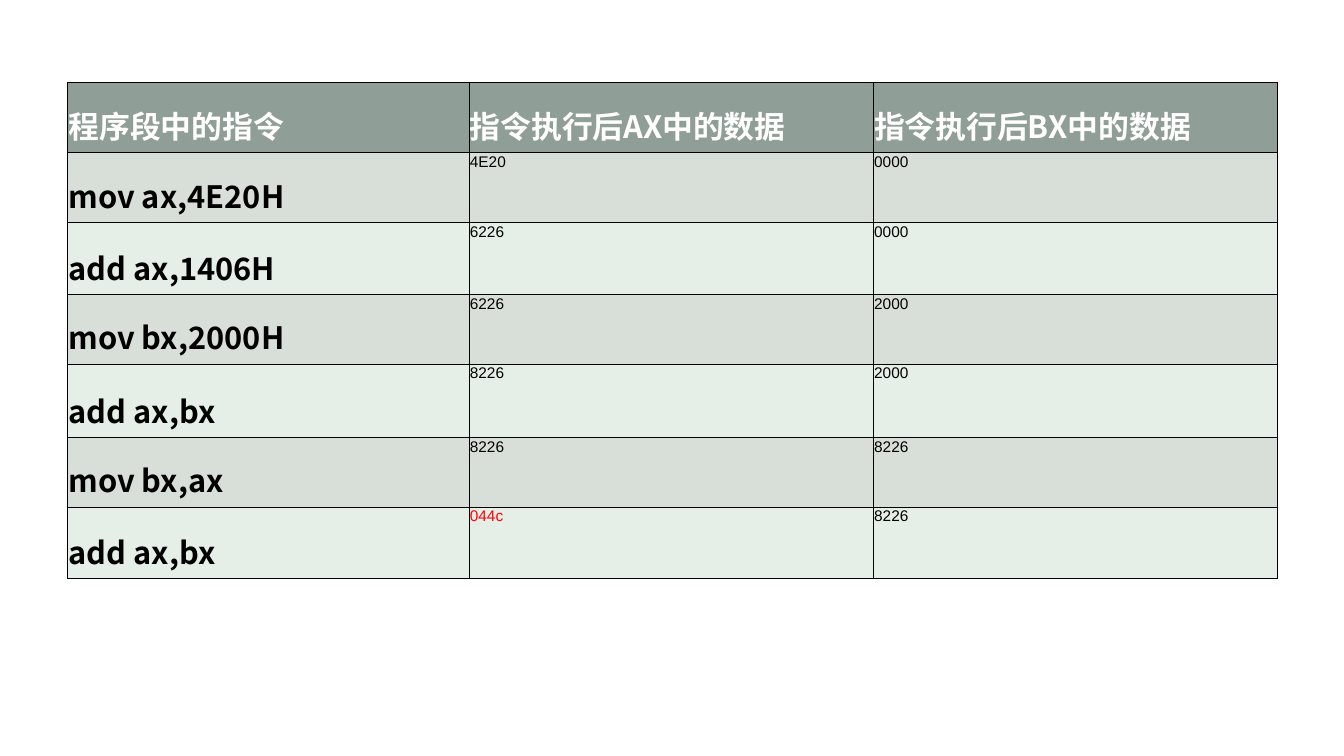
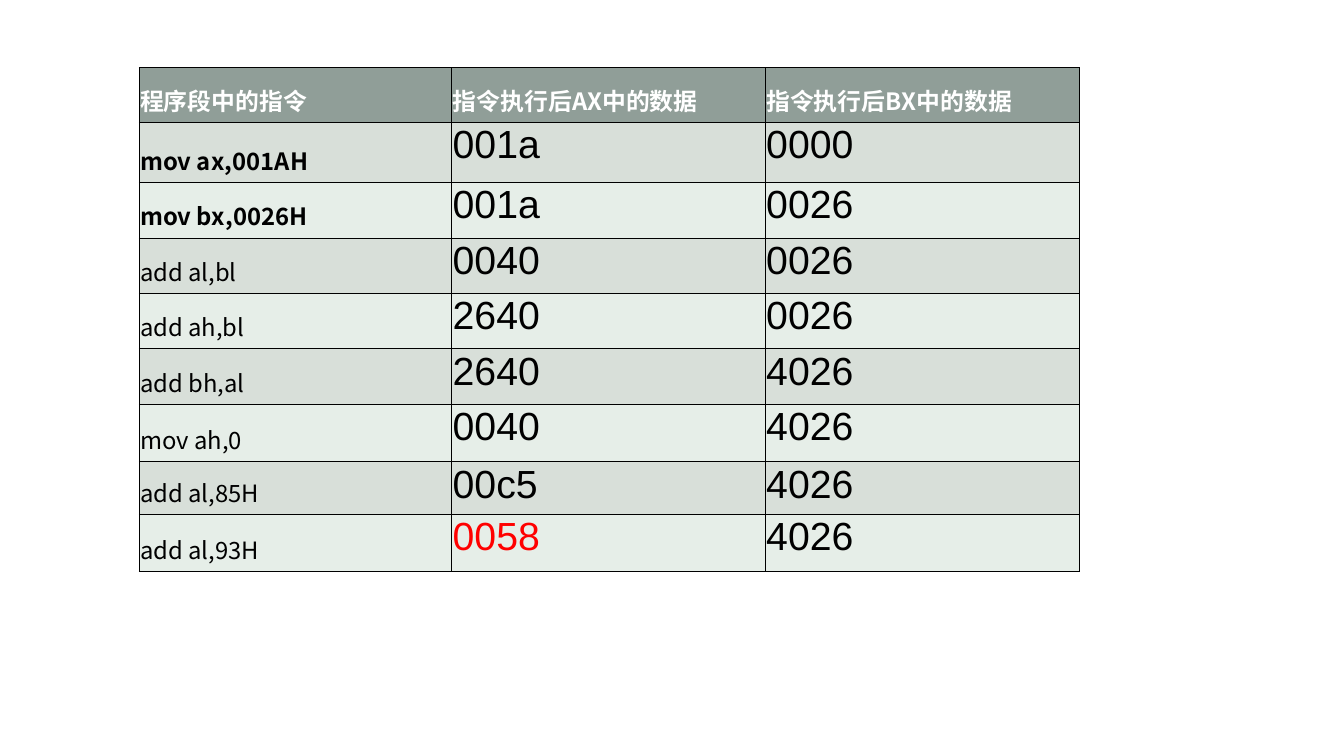
from lxml.etree import SubElement
from pptx import Presentation
from pptx.dml.color import RGBColor
from pptx.enum.text import MSO_ANCHOR
from pptx.oxml.ns import qn
from pptx.util import Inches, Pt

WHITE = RGBColor(0xFF, 0xFF, 0xFF)
BLACK = RGBColor(0x00, 0x00, 0x00)
RED = RGBColor(0xFF, 0x00, 0x00)
HEADER_FILL = RGBColor(0x90, 0x9E, 0x98)
BAND_FILLS = (RGBColor(0xD8, 0xDF, 0xD9), RGBColor(0xE6, 0xEE, 0xE8))

CODE_FONT = "Noto Sans CJK SC"
DATA_FONT = "Arial"
HEADINGS = ("程序段中的指令", "指令执行后AX中的数据", "指令执行后BX中的数据")

# Instruction, AX after it, BX after it
WORD_STEPS = (
    ("mov ax,4E20H", "4E20", "0000"),
    ("add ax,1406H", "6226", "0000"),
    ("mov bx,2000H", "6226", "2000"),
    ("add ax,bx", "8226", "2000"),
    ("mov bx,ax", "8226", "8226"),
    ("add ax,bx", "044c", "8226"),
)
BYTE_STEPS = (
    ("mov ax,001AH", "001a", "0000"),
    ("mov bx,0026H", "001a", "0026"),
    ("add al,bl", "0040", "0026"),
    ("add ah,bl", "2640", "0026"),
    ("add bh,al", "2640", "4026"),
    ("mov ah,0", "0040", "4026"),
    ("add al,85H", "00c5", "4026"),
    ("add al,93H", "0058", "4026"),
)


def write_text(cell, text, *, size, font, color=BLACK, bold=False,
               anchor=MSO_ANCHOR.TOP):
    cell.vertical_anchor = anchor
    run = cell.text_frame.paragraphs[0].add_run()
    run.text = text
    run.font.size = Pt(size)
    run.font.name = font
    run.font.bold = bold
    run.font.color.rgb = color
    SubElement(run.font._element, qn("a:ea"), typeface=font)


def style_cell(cell, fill):
    """Give a cell its margins, thin black borders and fill."""
    cell.margin_left = cell.margin_top = cell.margin_right = Inches(0.01)
    cell.margin_bottom = Inches(0.05)
    properties = cell._tc.get_or_add_tcPr()
    for side in ("a:lnL", "a:lnR", "a:lnT", "a:lnB"):
        border = SubElement(properties, qn(side), w=str(Pt(0.5)))
        solid = SubElement(border, qn("a:solidFill"))
        SubElement(solid, qn("a:srgbClr"), val=str(BLACK))
    cell.fill.solid()
    cell.fill.fore_color.rgb = fill


def add_trace_slide(deck, steps, *, left, top, widths, heights,
                    code_size, data_size, bold_steps):
    """Trace AX and BX step by step; the final AX value is red."""
    slide = deck.slides.add_slide(deck.slide_layouts[6])
    trace = slide.shapes.add_table(
        len(heights), len(widths), Inches(left), Inches(top),
        Inches(sum(widths)), Inches(sum(heights))).table
    for column, width in zip(trace.columns, widths):
        column.width = Inches(width)
    for row, height in zip(trace.rows, heights):
        row.height = Inches(height)

    code_style = dict(size=code_size, font=CODE_FONT, anchor=MSO_ANCHOR.BOTTOM)
    for col, heading in enumerate(HEADINGS):
        cell = trace.cell(0, col)
        style_cell(cell, HEADER_FILL)
        write_text(cell, heading, color=WHITE, bold=True, **code_style)

    for number, (instruction, *registers) in enumerate(steps, start=1):
        fill = BAND_FILLS[(number - 1) % 2]
        instruction_cell = trace.cell(number, 0)
        style_cell(instruction_cell, fill)
        write_text(instruction_cell, instruction,
                   bold=number <= bold_steps, **code_style)
        for col, value in enumerate(registers, start=1):
            is_final_ax = number == len(steps) and col == 1
            cell = trace.cell(number, col)
            style_cell(cell, fill)
            write_text(cell, value, size=data_size, font=DATA_FONT,
                       color=RED if is_final_ax else BLACK)


def main():
    deck = Presentation()
    deck.slide_width = Inches(13.33)
    deck.slide_height = Inches(7.5)
    add_trace_slide(
        deck, WORD_STEPS, left=0.67, top=0.82, widths=(3.98, 4.01, 4.01),
        heights=(0.69, 0.7, 0.71, 0.69, 0.73, 0.69, 0.71),
        code_size=22, data_size=11, bold_steps=len(WORD_STEPS))
    add_trace_slide(
        deck, BYTE_STEPS, left=1.38, top=0.67, widths=(3.1, 3.11, 3.12),
        heights=(0.54, 0.6, 0.55, 0.55, 0.55, 0.55, 0.57, 0.52, 0.57),
        code_size=17, data_size=28, bold_steps=2)
    deck.save("out.pptx")


if __name__ == "__main__":
    main()
